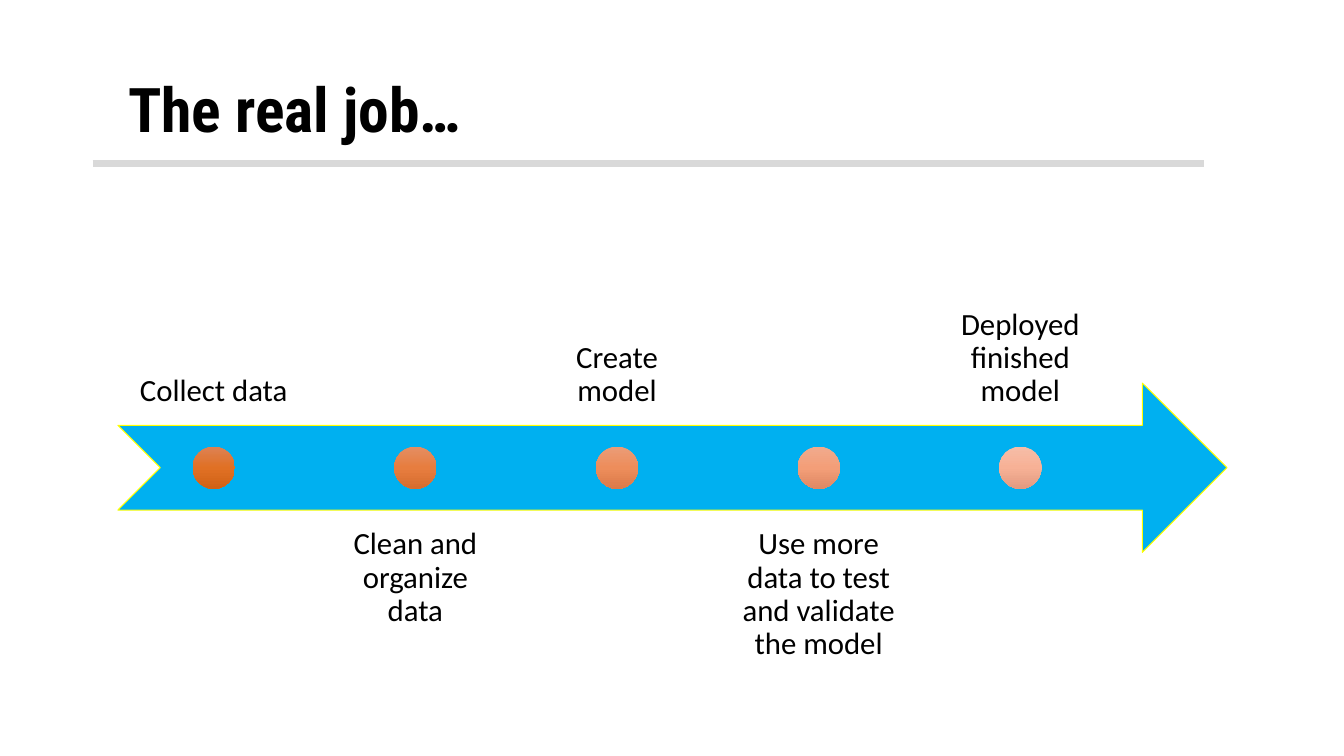
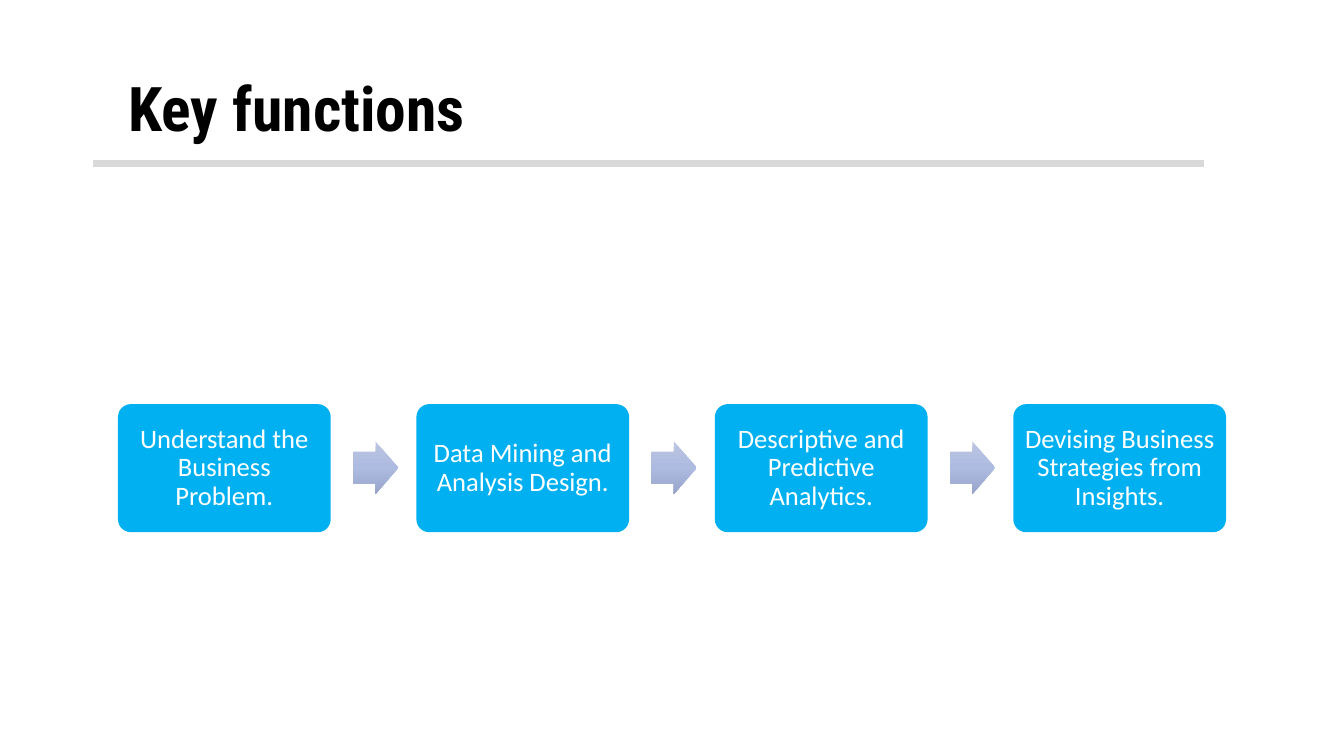
from copy import deepcopy

from lxml import etree
from pptx import Presentation
from pptx.dml import color
from pptx.enum import shapes, text
from pptx.oxml import ns
from pptx.util import Inches, Pt

COLORS = {
    "black": "000000",
    "white": "FFFFFF",
    "blue": "00B0F0",
    "yellow": "FFFF00",
    "rule": "D9D9D9",
}
DOTS = [
    ("DD8254", "E07024", "D06216"),
    ("E48E63", "E77D3F", "D66D2F"),
    ("EB9C77", "ED8D5B", "DB7A49"),
    ("F1AB8E", "F39E78", "DF8964"),
    ("F6BDA8", "F7B196", "E29A80"),
]
ARROW = ("BBC5E3", "AEBBE0", "98A4CB")
STEPS = [
    "Collect data",
    "Clean and organize data",
    "Create model",
    "Use more data to test and validate the model",
    "Deployed finished model",
]
TASKS = [
    "Understand the Business Problem.",
    "Data Mining and Analysis Design.",
    "Descriptive and Predictive Analytics.",
    "Devising Business Strategies from Insights.",
]
KIND = shapes.MSO_SHAPE
ANCHOR = text.MSO_ANCHOR
ALIGN = text.PP_ALIGN


def rgb(name):
    return color.RGBColor.from_string(COLORS[name])


def write(shape, words, size=22, font="Calibri", tint="black", bold=False,
          align=ALIGN.CENTER, anchor=ANCHOR.MIDDLE, inset=(0.1, 0.05)):
    frame = shape.text_frame
    frame.word_wrap = True
    frame.auto_size = text.MSO_AUTO_SIZE.NONE
    frame.vertical_anchor = anchor
    frame.margin_left = frame.margin_right = Inches(inset[0])
    frame.margin_top = frame.margin_bottom = Inches(inset[1])
    para = frame.paragraphs[0]
    para.alignment = align
    para.line_spacing = 0.9
    run = para.add_run()
    run.text = words
    run.font.size = Pt(size)
    run.font.name = font
    run.font.bold = bold
    run.font.color.rgb = rgb(tint)


def blend(shape, tints):
    fill = shape.fill
    fill.gradient()
    fill.gradient_angle = 270
    stops = shape.element.spPr.find(".//" + ns.qn("a:gsLst"))
    stops.insert(1, deepcopy(stops[0]))
    for stop, tint, place in zip(fill.gradient_stops, tints, (0, 0.5, 1)):
        stop.color.rgb = color.RGBColor.from_string(tint)
        stop.position = place


def draw(slide, kind, box, fill=None, tints=None, line=None):
    shape = slide.shapes.add_shape(kind, *map(Inches, box))
    shape.shadow.inherit = False
    if tints:
        blend(shape, tints)
    else:
        shape.fill.solid()
        shape.fill.fore_color.rgb = rgb(fill)
    if line:
        shape.line.color.rgb = rgb(line)
        shape.line.width = Pt(0.75)
    else:
        shape.line.fill.background()
    return shape


def label(slide, box, words, **style):
    write(slide.shapes.add_textbox(*map(Inches, box)), words, **style)


def start(deck, words, high):
    slide = deck.slides.add_slide(deck.slide_layouts[5])
    title = slide.shapes.title
    title.left, title.top = Inches(1.17), Inches(0.53)
    title.width, title.height = Inches(11), Inches(high)
    write(title, words, size=44, font="Roboto Condensed", bold=True,
          align=ALIGN.LEFT)
    return slide


def rule(slide):
    line = slide.shapes.add_connector(
        shapes.MSO_CONNECTOR.STRAIGHT, *map(Inches, (0.92, 1.62, 11.94, 1.62)))
    line.line.color.rgb = rgb("rule")
    line.line.width = Pt(5)
    etree.SubElement(line._element.spPr, ns.qn("a:effectLst"))


def job(deck):
    slide = start(deck, "The real job…", 1.18)
    draw(slide, KIND.NOTCHED_RIGHT_ARROW, (1.17, 3.8, 11, 1.68),
         fill="blue", line="yellow")
    for i, (step, tints) in enumerate(zip(STEPS, DOTS)):
        left = 1.17 + 2 * i
        top, anchor = (5.07, ANCHOR.TOP) if i % 2 else (2.54, ANCHOR.BOTTOM)
        label(slide, (left, top, 1.9, 1.68), step, anchor=anchor,
              inset=(0.17, 0.17))
        draw(slide, KIND.OVAL, (left + 0.74, 4.43, 0.42, 0.42), tints=tints)
    rule(slide)


def tasks(deck):
    slide = start(deck, "Key functions", 1.15)
    for i, task in enumerate(TASKS):
        left = 1.17 + 2.96 * i
        if i:
            arrow = draw(slide, KIND.RIGHT_ARROW,
                         (left - 0.63, 4.38, 0.45, 0.52), tints=ARROW)
            arrow.adjustments[0] = 0.6
        card = draw(slide, KIND.ROUNDED_RECTANGLE, (left, 4.01, 2.11, 1.27),
                    fill="blue")
        card.adjustments[0] = 0.1
        write(card, task, size=19, tint="white", inset=(0.06, 0.06))
    rule(slide)


def main():
    deck = Presentation()
    deck.slide_width, deck.slide_height = Inches(13.33), Inches(7.5)
    job(deck)
    tasks(deck)
    deck.save("out.pptx")


if __name__ == "__main__":
    main()
